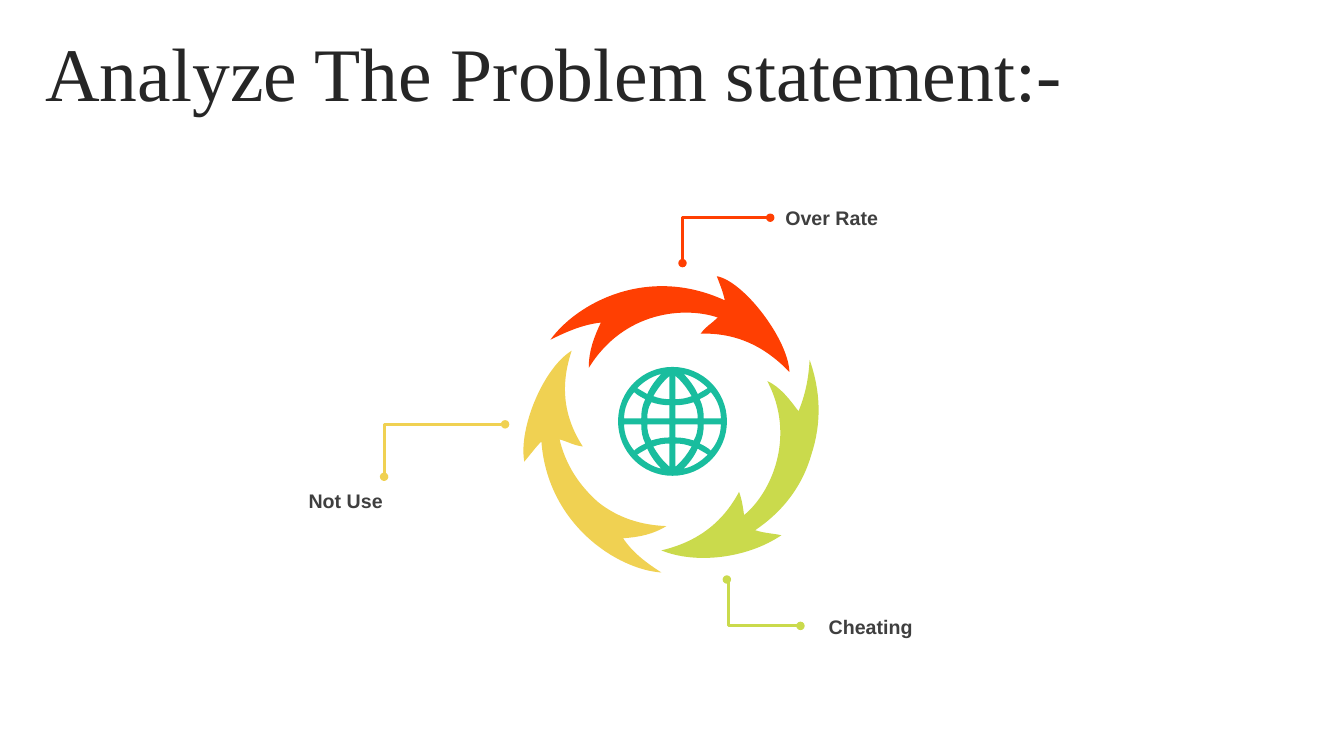
from lxml import etree
from pptx import Presentation
from pptx import util as u
from pptx.dml.color import RGBColor
from pptx.enum import shapes, text
from pptx.oxml.ns import qn

RED, GREEN, YELLOW, TEAL = "FF3F02", "CADA4C", "F0D152", "19BD9E"

ARROWS = {
    GREEN: [
        (2.75, 3.31),
        (2.41, 3.54), (1.9, 3.6), (1.56, 3.46),
        (1.9, 3.38), (2.16, 3.2), (2.33, 2.88),
        (2.36, 2.96), (2.37, 3.04), (2.38, 3.11),
        (2.65, 2.89), (2.9, 2.33), (2.61, 1.78),
        (2.74, 1.84), (2.83, 1.96), (2.92, 2.08),
        (2.99, 1.91), (3.02, 1.75), (3.03, 1.57),
        (3.14, 1.88), (3.15, 2.19), (3.05, 2.5),
        (2.96, 2.82), (2.77, 3.07), (2.49, 3.26),
        (2.58, 3.29), (2.66, 3.29), (2.75, 3.31),
    ],
    RED: [
        (1.95, 1.31),
        (2, 1.24), (2.07, 1.2), (2.12, 1.15),
        (1.8, 1.04), (1.19, 1.08), (0.84, 1.65),
        (0.84, 1.48), (0.89, 1.35), (0.96, 1.2),
        (0.78, 1.22), (0.62, 1.29), (0.46, 1.37),
        (0.71, 1.02), (1.41, 0.62), (2.19, 0.98),
        (2.17, 0.89), (2.14, 0.82), (2.11, 0.74),
        (2.38, 0.79), (2.82, 1.37), (2.83, 1.69),
        (2.59, 1.44), (2.31, 1.3), (1.95, 1.31),
    ],
    YELLOW: [
        (0.78, 2.43),
        (0.69, 2.42), (0.63, 2.38), (0.55, 2.36),
        (0.61, 2.61), (0.74, 2.81), (0.93, 2.98),
        (1.13, 3.14), (1.36, 3.21), (1.61, 3.22),
        (1.48, 3.3), (1.34, 3.33), (1.18, 3.34),
        (1.28, 3.49), (1.42, 3.59), (1.56, 3.68),
        (1.12, 3.65), (0.43, 3.2), (0.37, 2.38),
        (0.31, 2.44), (0.26, 2.51), (0.2, 2.58),
        (0.14, 2.25), (0.39, 1.65), (0.67, 1.48),
        (0.56, 1.81), (0.58, 2.12), (0.78, 2.43),
    ],
}

GLOBE_CELLS = [
    [(0.31, 0.03),
     (0.31, 0.03), (0.48, 0.03), (0.48, 0.03),
     (0.48, 0.13), (0.44, 0.22), (0.38, 0.29),
     (0.35, 0.26), (0.31, 0.24), (0.27, 0.22),
     (0.3, 0.16), (0.31, 0.1), (0.31, 0.03)],
    [(0.03, 0.03),
     (0.03, 0.03), (0.25, 0.03), (0.25, 0.03),
     (0.25, 0.09), (0.24, 0.14), (0.21, 0.19),
     (0.15, 0.17), (0.09, 0.16), (0.03, 0.16)],
    [(0.03, 0.22),
     (0.09, 0.22), (0.14, 0.23), (0.19, 0.25),
     (0.15, 0.32), (0.1, 0.39), (0.03, 0.45)],
    [(0.25, 0.27),
     (0.28, 0.29), (0.32, 0.31), (0.35, 0.33),
     (0.28, 0.4), (0.2, 0.45), (0.11, 0.47),
     (0.17, 0.41), (0.22, 0.34), (0.25, 0.27)],
]


def rgb(value):
    return RGBColor.from_string(value)


def set_attrs(obj, values):
    for name, value in values.items():
        setattr(obj, name, value)


def write(sp, wording, size, font, color, bold=False, **frame):
    tf = sp.text_frame
    set_attrs(tf, {"word_wrap": True, **frame})
    p = tf.paragraphs[0]
    r = p.add_run()
    r.text = wording
    set_attrs(r.font, {"size": u.Pt(size), "name": font, "bold": bold})
    r.font.color.rgb = rgb(color)
    return p


def add_title(slide, x, y, w, h):
    sp = slide.shapes.title
    set_attrs(sp, {"left": u.Inches(x), "top": u.Inches(y),
                   "width": u.Inches(w), "height": u.Inches(h)})
    p = write(sp, "Analyze The Problem statement:-", 54, "Times New Roman", "262626",
              vertical_anchor=text.MSO_ANCHOR.MIDDLE, auto_size=text.MSO_AUTO_SIZE.NONE)
    set_attrs(p, {"alignment": text.PP_ALIGN.LEFT, "line_spacing": 0.9})


def add_curved(parent, x, y, contours, color):
    placed = [[(u.Inches(x + px), u.Inches(y + py)) for px, py in c] for c in contours]
    builder = parent.build_freeform(*placed[0][0], scale=1.0)
    for i, nodes in enumerate(placed):
        if i:
            builder.move_to(*nodes[0])
        builder.add_line_segments(nodes[3::3], close=True)
    sp = builder.convert_to_shape()
    sp.shadow.inherit = False
    sp.fill.solid()
    sp.fill.fore_color.rgb = rgb(color)
    sp.line.fill.background()

    curves = [nodes[i:i + 3] for nodes in placed for i in range(1, len(nodes), 3)]
    segments = list(sp._element.iter(qn("a:lnTo")))
    for segment, curve in zip(segments, curves):
        bezier = etree.Element(qn("a:cubicBezTo"))
        for px, py in curve:
            etree.SubElement(bezier, qn("a:pt"), x=str(px - sp.left), y=str(py - sp.top))
        segment.getparent().replace(segment, bezier)


def add_cycle(slide, x, y):
    group = slide.shapes.add_group_shape()
    for color, nodes in ARROWS.items():
        add_curved(group.shapes, x, y, [nodes], color)


def add_globe(slide, x, y, size):
    a, b = size / 2, 0.3
    rim = [(a, 0), (a, b), (b, a), (0, a), (-b, a), (-a, b), (-a, 0),
           (-a, -b), (-b, -a), (0, -a), (b, -a), (a, -b), (a, 0)]
    cells = [[(sx * px, sy * py) for px, py in cell]
             for sx in (1, -1) for sy in (1, -1) for cell in GLOBE_CELLS]
    add_curved(slide.shapes, x + a, y + a, [rim, *cells], TEAL)


def add_callout(slide, x, y, color, reach, bend, wording, offset, width, align):
    line = slide.shapes.add_connector(
        shapes.MSO_CONNECTOR.ELBOW, u.Inches(x), u.Inches(y),
        u.Inches(x + reach[0]), u.Inches(y + reach[1]))
    line.line.color.rgb = rgb(color)
    line.line.width = u.Pt(2)
    props = line._element.spPr
    guides = props.find(qn("a:prstGeom")).find(qn("a:avLst"))
    etree.SubElement(guides, qn("a:gd"), name="adj1", fmla=f"val {bend}")
    for end in ("a:headEnd", "a:tailEnd"):
        etree.SubElement(props.find(qn("a:ln")), qn(end), type="oval")
    etree.SubElement(props, qn("a:effectLst"))

    label = slide.shapes.add_textbox(
        u.Inches(x + offset[0]), u.Inches(y + offset[1]), u.Inches(width), u.Inches(0.34))
    p = write(label, wording, 14, "Arial", "3F3F3F", True,
              auto_size=text.MSO_AUTO_SIZE.SHAPE_TO_FIT_TEXT)
    p.alignment = align


def main():
    prs = Presentation()
    set_attrs(prs, {"slide_width": u.Inches(13.33), "slide_height": u.Inches(7.5)})
    slide = prs.slides.add_slide(prs.slide_layouts[5])
    add_title(slide, 0.35, 0.37, 12.66, 0.79)
    add_cycle(slide, 5, 2)
    add_globe(slide, 6.13, 3.64, 1.08)
    left, right = text.PP_ALIGN.LEFT, text.PP_ALIGN.RIGHT
    add_callout(slide, 7.64, 2.16, RED, (-0.87, 0.45), 100000,
                "Over Rate", (0.05, -0.17), 4.53, left)
    add_callout(slide, 7.94, 6.21, GREEN, (-0.73, -0.46), 98200,
                "Cheating", (0.18, -0.16), 4.51, left)
    add_callout(slide, 3.81, 4.73, YELLOW, (1.2, -0.52), 400,
                "Not Use ", (-2.92, 0.07), 3.06, right)
    prs.save("out.pptx")


if __name__ == "__main__":
    main()
